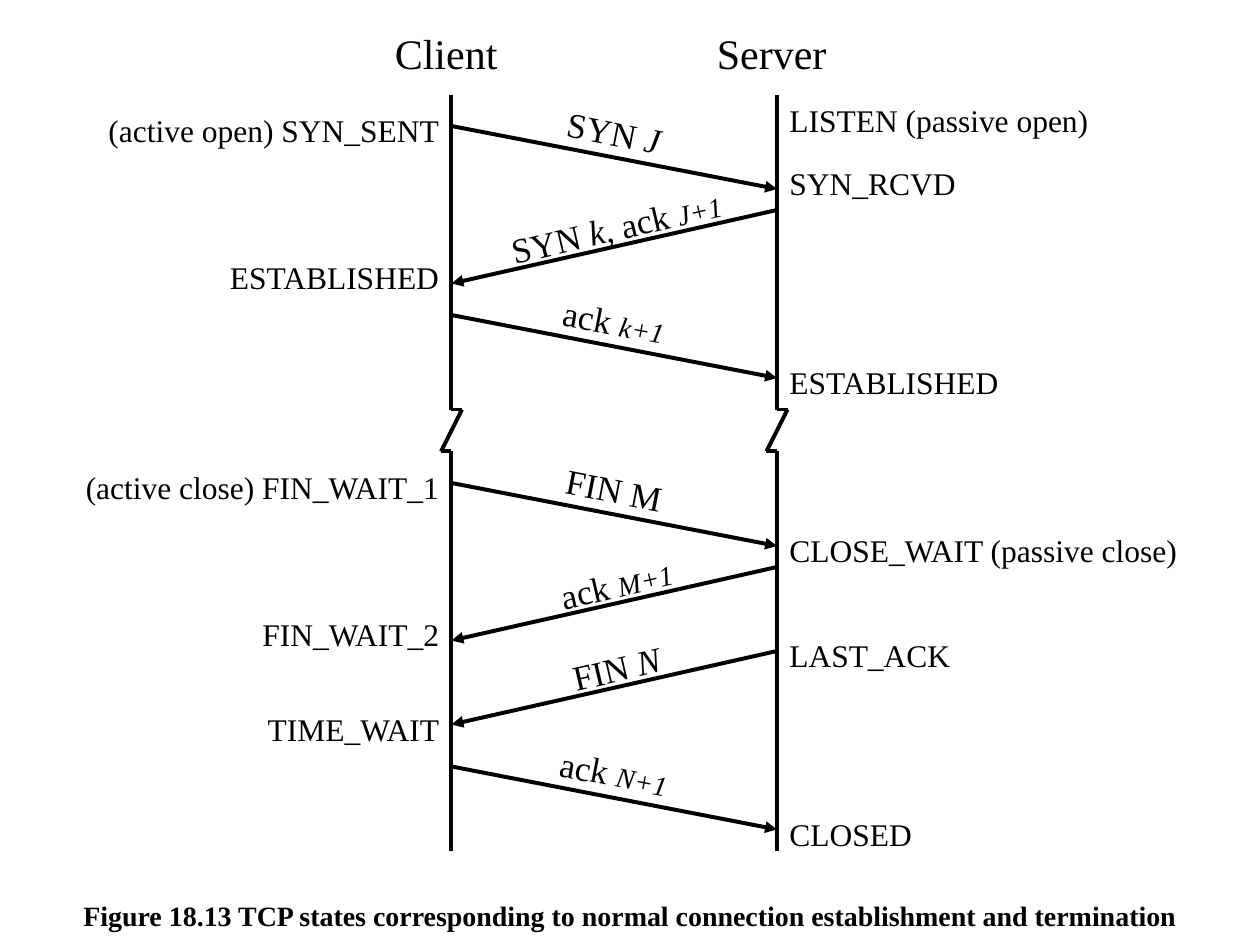
"""Draw the TCP connection states as a ladder between client and server."""
from dataclasses import dataclass

from lxml import etree
from pptx import Presentation
from pptx import util as u
from pptx.dml.color import RGBColor
from pptx.enum import shapes, text
from pptx.oxml.ns import qn

STEP = 2.54 / 12
FONT = "Times New Roman"
HUES = {"ink": "000000", "page": "FFFFFF"}
INK = RGBColor.from_string(HUES["ink"])
TALL = {24: 1.27, 20: 1.11, 18: 1.02, 16: 0.94}
SIDE = text.PP_ALIGN
CLIENT, SERVER = 43, 74
TOP, BREAK, RESUME, END = 9, 39, 43, 81


@dataclass
class Run:
    words: str
    size: int = 20
    italic: bool = False
    bold: bool = False


@dataclass
class Label:
    left: float
    top: float
    width: float
    runs: list[Run]
    align: SIDE = SIDE.CENTER
    turn: float = 0


@dataclass
class Message:
    start: int
    runs: list[Run]
    right: bool = True


@dataclass
class State:
    top: int
    words: str
    client: bool = False
    width: int = 34


def grid(count: float) -> u.Cm:
    """Turn grid steps of a twelfth of an inch into a length."""
    return u.Cm(count * STEP)


def assign(item, values: dict) -> None:
    """Set each named attribute on the item."""
    for name, value in values.items():
        setattr(item, name, value)


def stroke(owner, x1: int, y1: int, x2: int, y2: int, arrow: bool = False) -> None:
    """Draw a plain line or an arrow between two grid points."""
    line = owner.add_connector(shapes.MSO_CONNECTOR.STRAIGHT,
                               grid(x1), grid(y1), grid(x2), grid(y2))
    line.line.color.rgb = INK
    line.line.width = u.Cm(0.08)
    etree.SubElement(line._element.spPr, qn("a:effectLst"))
    if arrow:
        tail = etree.SubElement(line.line._get_or_add_ln(), qn("a:tailEnd"))
        tail.set("type", "triangle")


def write(owner, label: Label) -> None:
    """Place one line of text."""
    big = label.runs[0].size
    small = label.runs[-1].size
    box = owner.add_textbox(grid(label.left), grid(label.top),
                            grid(label.width), u.Cm(TALL[big]))
    box.rotation = label.turn
    assign(box.text_frame, {"word_wrap": True,
                            "auto_size": text.MSO_AUTO_SIZE.SHAPE_TO_FIT_TEXT})
    para = box.text_frame.paragraphs[0]
    assign(para, {"alignment": label.align, "space_before": u.Pt(small * 0.625)})
    for part in label.runs:
        run = para.add_run()
        run.text = part.words
        assign(run.font, {"name": FONT, "size": u.Pt(part.size),
                          "italic": part.italic, "bold": part.bold})
        run.font.color.rgb = INK


def rail(owner, x: int) -> None:
    """Draw a time line with a break in it."""
    stroke(owner, x, TOP, x, BREAK)
    stroke(owner, x, RESUME, x, END)
    group = owner.add_group_shape().shapes
    stroke(group, x, BREAK, x + 1, BREAK)
    stroke(group, x, RESUME, x - 1, RESUME)
    stroke(group, x + 1, BREAK, x - 1, RESUME)


def send(owner, msg: Message) -> None:
    """Draw a message arrow and its slanted label."""
    y = msg.start
    if msg.right:
        stroke(owner, CLIENT, y, SERVER, y + 6, True)
        write(owner, Label(47, y - 2, 23, msg.runs, turn=10.9))
    else:
        stroke(owner, SERVER, y, CLIENT, y + 7, True)
        write(owner, Label(45, y - 1, 27.4, msg.runs, turn=346.8))


def mark(owner, state: State) -> None:
    """Write a state name beside its time line."""
    left = CLIENT - state.width if state.client else SERVER
    align = SIDE.RIGHT if state.client else SIDE.LEFT
    write(owner, Label(left, state.top, state.width, [Run(state.words, 18)], align))


def ack(value: str) -> list[Run]:
    """Give the runs of an acknowledgement."""
    return [Run("ack "), Run(value, 16, True)]


MESSAGES = [
    Message(12, [Run("SYN "), Run("J", italic=True)]),
    Message(20, [Run("SYN "), Run("k, ", italic=True), *ack("J+1")], False),
    Message(30, ack("k+1")),
    Message(46, [Run("FIN M")]),
    Message(54, ack("M+1"), False),
    Message(73, ack("N+1")),
    Message(62, [Run("FIN "), Run("N", italic=True)], False),
]
STATES = [
    State(10, "(active open) SYN_SENT", True),
    State(9, "LISTEN (passive open)"),
    State(15, "SYN_RCVD"),
    State(24, "ESTABLISHED", True),
    State(34, "ESTABLISHED"),
    State(44, "(active close) FIN_WAIT_1", True, 39),
    State(50, "CLOSE_WAIT (passive close)", width=42),
    State(58, "FIN_WAIT_2", True),
    State(67, "TIME_WAIT", True),
    State(60, "LAST_ACK", width=42),
    State(77, "CLOSED", width=42),
]
CAPTION = ("Figure 18.13 TCP states corresponding to normal "
           "connection establishment and termination")


def main() -> None:
    """Build the slide and save it."""
    deck = Presentation()
    assign(deck, {"slide_width": grid(120), "slide_height": grid(90)})
    slide = deck.slides.add_slide(deck.slide_layouts[6])
    fill = slide.background.fill
    fill.solid()
    fill.fore_color.rgb = RGBColor.from_string(HUES["page"])
    owner = slide.shapes
    for left, name in ((36, "Client"), (67, "Server")):
        write(owner, Label(left, 2, 13, [Run(name, 24)]))
    for x in (CLIENT, SERVER):
        rail(owner, x)
    for msg in MESSAGES:
        send(owner, msg)
    for state in STATES:
        mark(owner, state)
    write(owner, Label(0, 85, 120, [Run(CAPTION, 16, bold=True)]))
    deck.save("out.pptx")


main()
